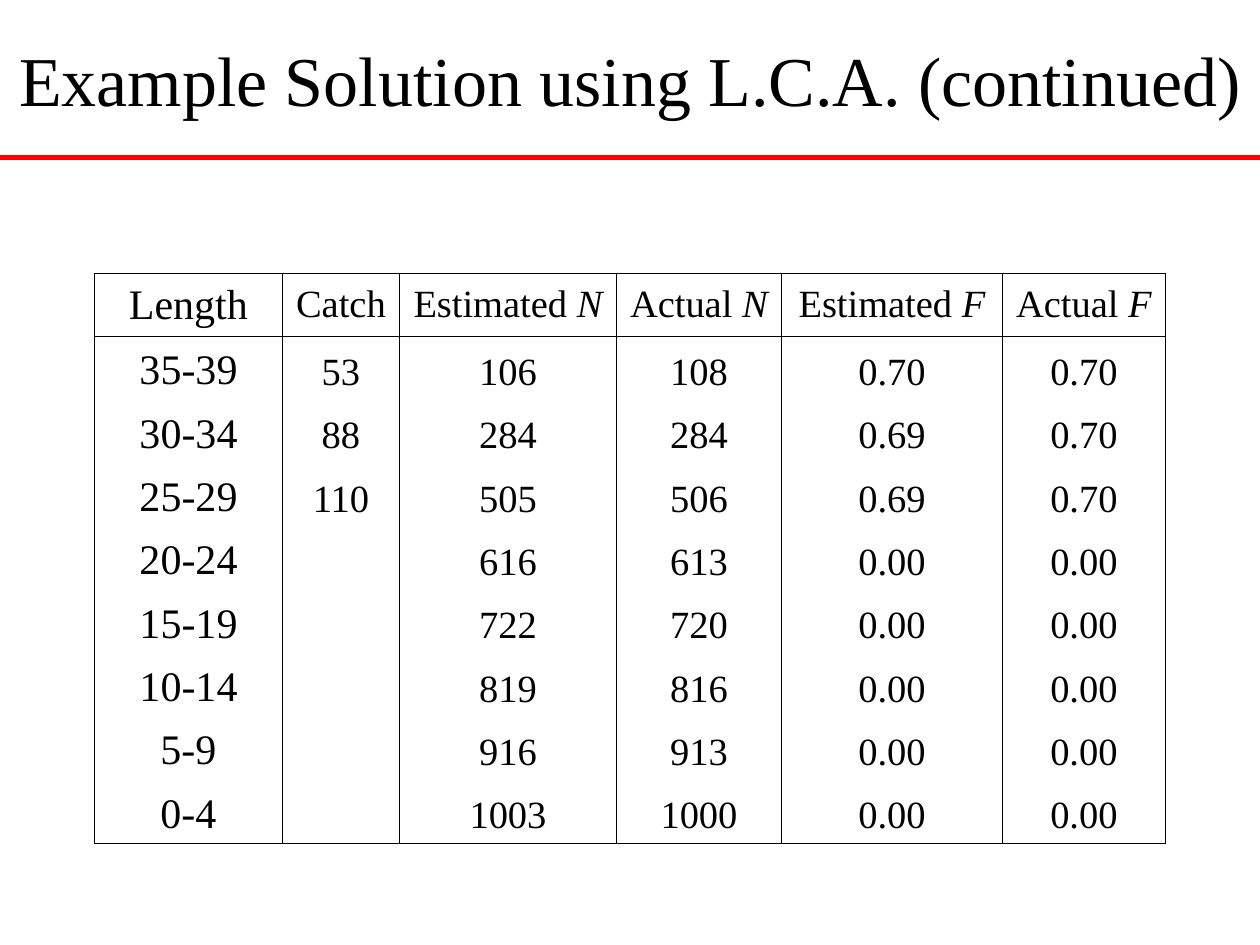
"""Build a slide with a table of estimated and actual N and F by length class."""
from lxml.etree import SubElement
from pptx import Presentation
from pptx.dml.color import RGBColor
from pptx.enum.shapes import MSO_CONNECTOR as Connector
from pptx.enum.text import MSO_ANCHOR as Anchor, MSO_AUTO_SIZE as AutoSize, PP_ALIGN as Align
from pptx.oxml.ns import qn
from pptx.util import Pt

BLACK = RGBColor(0, 0, 0)
RED = RGBColor(255, 0, 0)
FONT = "Times New Roman"
COLUMN_WIDTHS = [107.4, 66.9, 124, 94.3, 126.3, 93.1]
ROW_HEIGHT = 36.2
HANGING_INDENT = Pt(27)
ROWS = [
    ["Length", "Catch", "Estimated N", "Actual N", "Estimated F", "Actual F"],
    ["35-39", "53", "106", "108", "0.70", "0.70"],
    ["30-34", "88", "284", "284", "0.69", "0.70"],
    ["25-29", "110", "505", "506", "0.69", "0.70"],
    ["20-24", "", "616", "613", "0.00", "0.00"],
    ["15-19", "", "722", "720", "0.00", "0.00"],
    ["10-14", "", "819", "816", "0.00", "0.00"],
    ["5-9", "", "916", "913", "0.00", "0.00"],
    ["0-4", "", "1003", "1000", "0.00", "0.00"],
]


def add_run(paragraph, text, size, italic=False):
    run = paragraph.add_run()
    run.text = text
    run.font.color.rgb = BLACK
    for name, value in {"name": FONT, "size": Pt(size), "italic": italic}.items():
        setattr(run.font, name, value)


def set_borders(cell, visible_sides):
    properties = cell._tc.get_or_add_tcPr()
    for side in "LRTB":
        border = SubElement(properties, qn(f"a:ln{side}"), w=str(Pt(0.45)))
        if side in visible_sides:
            fill = SubElement(border, qn("a:solidFill"))
            SubElement(fill, qn("a:srgbClr"), val=str(BLACK))
        else:
            SubElement(border, qn("a:noFill"))


presentation = Presentation()
presentation.slide_width = Pt(720)
presentation.slide_height = Pt(540)
slide = presentation.slides.add_slide(presentation.slide_layouts[5])

title = slide.shapes.title
for name, value in {"left": 0, "top": 0, "width": 720, "height": 90}.items():
    setattr(title, name, Pt(value))
title_format = {"word_wrap": True, "auto_size": AutoSize.NONE, "vertical_anchor": Anchor.MIDDLE}
for name, value in title_format.items():
    setattr(title.text_frame, name, value)
title_paragraph = title.text_frame.paragraphs[0]
title_paragraph.alignment = Align.CENTER
add_run(title_paragraph, "Example Solution using L.C.A. (continued)", 40)

rule = slide.shapes.add_connector(Connector.STRAIGHT, Pt(0), Pt(90), Pt(720), Pt(90))
rule.line.color.rgb = RED
rule.line.width = Pt(3)
SubElement(rule._element.spPr, qn("a:effectLst"))

table = slide.shapes.add_table(
    len(ROWS), len(COLUMN_WIDTHS), Pt(54), Pt(156.2),
    Pt(sum(COLUMN_WIDTHS)), Pt(ROW_HEIGHT * len(ROWS)),
).table
table.first_row = False
table.horz_banding = False
for column, width in zip(table.columns, COLUMN_WIDTHS):
    column.width = Pt(width)

for row_index, texts in enumerate(ROWS):
    is_header = row_index == 0
    table.rows[row_index].height = Pt(ROW_HEIGHT)
    sides = "LR"
    if row_index <= 1:
        sides += "T"
    if row_index in (0, len(ROWS) - 1):
        sides += "B"
    for column_index, text in enumerate(texts):
        cell = table.cell(row_index, column_index)
        set_borders(cell, sides)
        cell.fill.background()
        cell.vertical_anchor = Anchor.MIDDLE if is_header else Anchor.BOTTOM
        if not text:
            continue
        paragraph = cell.text_frame.paragraphs[0]
        paragraph.alignment = Align.CENTER
        paragraph_properties = paragraph._p.get_or_add_pPr()
        paragraph_properties.set("marL", str(HANGING_INDENT))
        paragraph_properties.set("indent", str(-HANGING_INDENT))
        size = 24 if column_index == 0 else 22
        if is_header and " " in text:
            label, symbol = text.split(" ")
            add_run(paragraph, f"{label} ", size)
            add_run(paragraph, symbol, size, italic=True)
        else:
            add_run(paragraph, text, size)

presentation.save("out.pptx")
